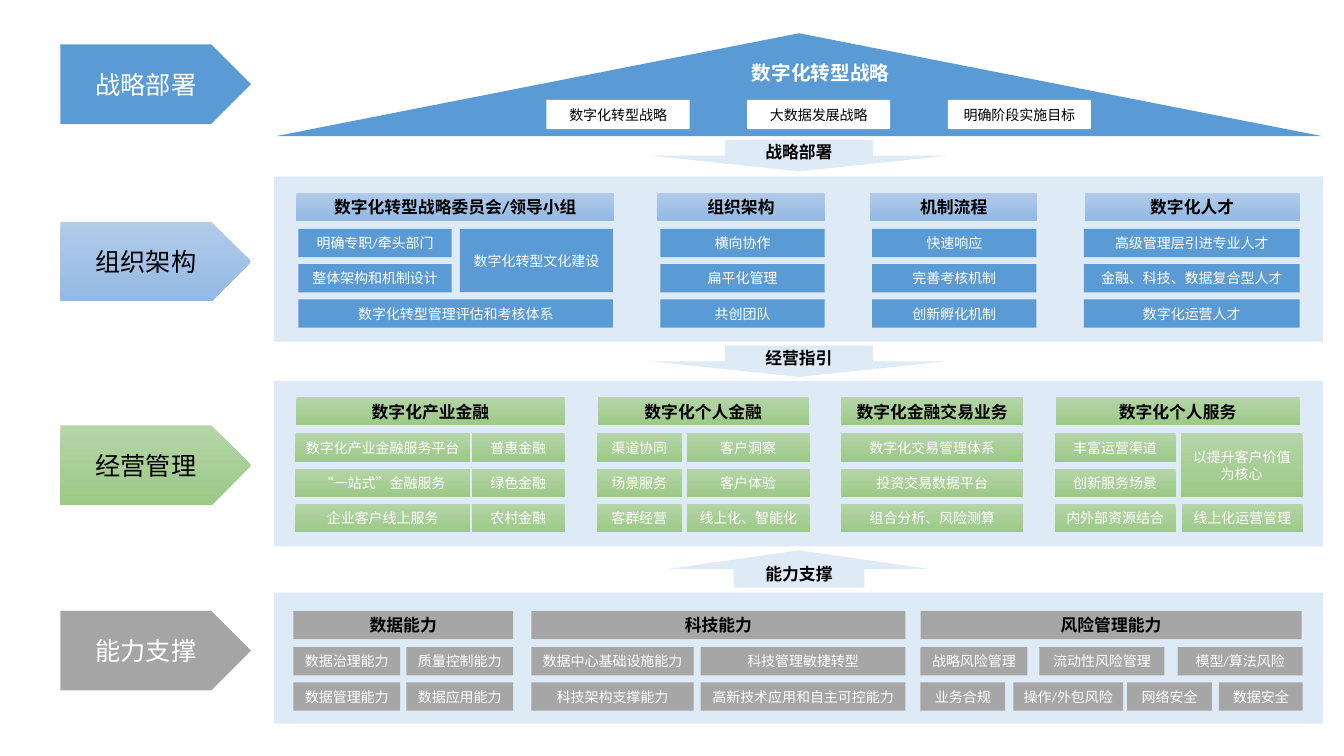
"""Build the digital transformation framework slide."""
from dataclasses import dataclass

from pptx import Presentation
from pptx.dml.color import RGBColor
from pptx.enum.shapes import MSO_SHAPE as Preset
from pptx.enum.text import MSO_ANCHOR as Anchor, PP_ALIGN as Align
from pptx.util import Inches, Pt

FONT = "Calibri"
WHITE, BLACK = ("FFFFFF",), "000000"
BLUE, PALE, GREY, TAG_GREY = ("5B9BD5",), ("DEEBF7",), ("A6A6A6",), ("A5A5A5",)
SOFT_BLUE, SOFT_GREEN = ("B1CBE9", "93B9E4"), ("B5D5A7", "9CC987")
CELL_HEIGHT, ROW_PITCH, HEADING_PITCH = 0.28, 0.35, 0.36
SIDE_MARGIN = Inches(0.06)


@dataclass(frozen=True)
class Style:
    size: int
    color: str
    bold: bool = False


ROOF_STYLE = Style(14, "FFFFFF", True)
HEADING_STYLE = Style(12, BLACK, True)
CELL_STYLE = Style(10, "FFFFFF")
GOAL_STYLE = Style(10, BLACK)


@dataclass(frozen=True)
class Stack:
    left: float
    width: float
    labels: tuple[str, ...]
    row: int = 0
    span: int = 1


@dataclass(frozen=True)
class Topic:
    left: float
    width: float
    heading: str
    stacks: tuple[Stack, ...]


@dataclass(frozen=True)
class Band:
    top: float
    height: float
    heading_top: float
    heading_fill: tuple[str, ...]
    cell_fill: tuple[str, ...]
    topics: tuple[Topic, ...]


@dataclass(frozen=True)
class Stage:
    top: float
    label: str
    fill: tuple[str, ...]
    color: str


@dataclass(frozen=True)
class Link:
    preset: Preset
    box: tuple[float, float, float, float]
    label: str


GOALS = ("数字化转型战略", "大数据发展战略", "明确阶段实施目标")

ORGANIZATION = Band(1.75, 1.64, 1.91, SOFT_BLUE, BLUE, (
    Topic(2.94, 3.15, "数字化转型战略委员会/领导小组", (
        Stack(2.96, 1.52, ("明确专职/牵头部门", "整体架构和机制设计")),
        Stack(4.56, 1.52, ("数字化转型文化建设",), span=2),
        Stack(2.96, 3.12, ("数字化转型管理评估和考核体系",), row=2))),
    Topic(6.52, 1.66, "组织架构", (
        Stack(6.55, 1.63, ("横向协作", "扁平化管理", "共创团队")),)),
    Topic(8.63, 1.66, "机制流程", (
        Stack(8.65, 1.63, ("快速响应", "完善考核机制", "创新孵化机制")),)),
    Topic(10.76, 2.13, "数字化人才", (
        Stack(10.75, 2.14, ("高级管理层引进专业人才", "金融、科技、数据复合型人才",
                            "数字化运营人才")),)),
))

OPERATIONS = Band(3.78, 1.64, 3.94, SOFT_GREEN, SOFT_GREEN, (
    Topic(2.94, 2.66, "数字化产业金融", (
        Stack(2.93, 1.73, ("数字化产业金融服务平台", "“一站式”金融服务", "企业客户线上服务")),
        Stack(4.68, 0.92, ("普惠金融", "绿色金融", "农村金融")))),
    Topic(5.93, 2.09, "数字化个人金融", (
        Stack(5.92, 0.84, ("渠道协同", "场景服务", "客群经营")),
        Stack(6.81, 1.22, ("客户洞察", "客户体验", "线上化、智能化")))),
    Topic(8.34, 1.81, "数字化金融交易业务", (
        Stack(8.34, 1.81, ("数字化交易管理体系", "投资交易数据平台", "组合分析、风险测算")),)),
    Topic(10.47, 2.42, "数字化个人服务", (
        Stack(10.46, 1.2, ("丰富运营渠道", "创新服务场景", "内外部资源结合")),
        Stack(11.71, 1.21, ("以提升客户价值为核心",), span=2),
        Stack(11.72, 1.2, ("线上化运营管理",), row=2))),
))

CAPABILITIES = Band(5.88, 1.3, 6.06, GREY, GREY, (
    Topic(2.91, 2.18, "数据能力", (
        Stack(2.91, 1.06, ("数据治理能力", "数据管理能力")),
        Stack(4.03, 1.06, ("质量控制能力", "数据应用能力")))),
    Topic(5.27, 3.71, "科技能力", (
        Stack(5.27, 1.61, ("数据中心基础设施能力", "科技架构支撑能力")),
        Stack(6.95, 2.03, ("科技管理敏捷转型", "高新技术应用和自主可控能力")))),
    Topic(9.13, 3.78, "风险管理能力", (
        Stack(9.13, 1.06, ("战略风险管理",)),
        Stack(10.31, 1.24, ("流动性风险管理",)),
        Stack(11.68, 1.24, ("模型/算法风险",)),
        Stack(9.13, 0.84, ("业务合规",), row=1),
        Stack(10.05, 1.09, ("操作/外包风险",), row=1),
        Stack(11.18, 0.84, ("网络安全",), row=1),
        Stack(12.09, 0.83, ("数据安全",), row=1))),
))

STAGES = (
    Stage(0.44, "战略部署", BLUE, "FFFFFF"),
    Stage(2.2, "组织架构", SOFT_BLUE, BLACK),
    Stage(4.22, "经营管理", SOFT_GREEN, BLACK),
    Stage(6.06, "能力支撑", TAG_GREY, "FFFFFF"),
)

LINKS = (
    Link(Preset.DOWN_ARROW, (6.46, 1.39, 2.93, 0.31), "战略部署"),
    Link(Preset.DOWN_ARROW, (6.46, 3.43, 2.93, 0.31), "经营指引"),
    Link(Preset.UP_ARROW, (6.63, 5.46, 2.59, 0.37), "能力支撑"),
)


def rgb(value: str) -> RGBColor:
    return RGBColor.from_string(value)


def write(frame, text: str, style: Style) -> None:
    frame.word_wrap = True
    frame.vertical_anchor = Anchor.MIDDLE
    frame.margin_left = frame.margin_right = SIDE_MARGIN
    paragraph = frame.paragraphs[0]
    paragraph.alignment = Align.CENTER
    run = paragraph.add_run()
    run.text = text
    run.font.name = FONT
    run.font.size = Pt(style.size)
    run.font.bold = style.bold
    run.font.color.rgb = rgb(style.color)


def draw(shapes, preset: Preset, box: tuple[float, ...], fill: tuple[str, ...],
         text: str = "", style: Style = CELL_STYLE) -> None:
    shape = shapes.add_shape(preset, *map(Inches, box))
    shape.shadow.inherit = False
    shape.line.fill.background()
    if len(fill) == 1:
        shape.fill.solid()
        shape.fill.fore_color.rgb = rgb(fill[0])
    else:
        shape.fill.gradient()
        shape.fill.gradient_angle = 270
        for stop, color in zip(shape.fill.gradient_stops, fill):
            stop.color.rgb = rgb(color)
    if text:
        write(shape.text_frame, text, style)


def draw_roof(shapes) -> None:
    draw(shapes, Preset.ISOSCELES_TRIANGLE, (2.74, 0.33, 10.37, 1.02), BLUE)
    heading = shapes.add_textbox(*map(Inches, (7.05, 0.55, 2.18, 0.34)))
    write(heading.text_frame, "数字化转型战略", ROOF_STYLE)
    for index, goal in enumerate(GOALS):
        draw(shapes, Preset.RECTANGLE, (5.42 + 1.99 * index, 0.99, 1.42, 0.29),
             WHITE, goal, GOAL_STYLE)


def draw_band(shapes, band: Band) -> None:
    draw(shapes, Preset.RECTANGLE, (2.72, band.top, 10.4, band.height), PALE)
    for topic in band.topics:
        draw(shapes, Preset.RECTANGLE,
             (topic.left, band.heading_top, topic.width, CELL_HEIGHT),
             band.heading_fill, topic.heading, HEADING_STYLE)
        for stack in topic.stacks:
            height = CELL_HEIGHT + ROW_PITCH * (stack.span - 1)
            for row, label in enumerate(stack.labels, stack.row):
                top = band.heading_top + HEADING_PITCH + ROW_PITCH * row
                draw(shapes, Preset.RECTANGLE, (stack.left, top, stack.width, height),
                     band.cell_fill, label)


deck = Presentation()
deck.slide_width, deck.slide_height = Inches(13.33), Inches(7.5)
slide = deck.slides.add_slide(deck.slide_layouts[6])
draw_roof(slide.shapes.add_group_shape().shapes)
for section in (ORGANIZATION, OPERATIONS, CAPABILITIES):
    draw_band(slide.shapes.add_group_shape().shapes, section)
for link in LINKS:
    draw(slide.shapes, link.preset, link.box, PALE, link.label, HEADING_STYLE)
for stage in STAGES:
    draw(slide.shapes, Preset.PENTAGON, (0.6, stage.top, 1.89, 0.79), stage.fill,
         stage.label, Style(18, stage.color))
deck.save("out.pptx")
